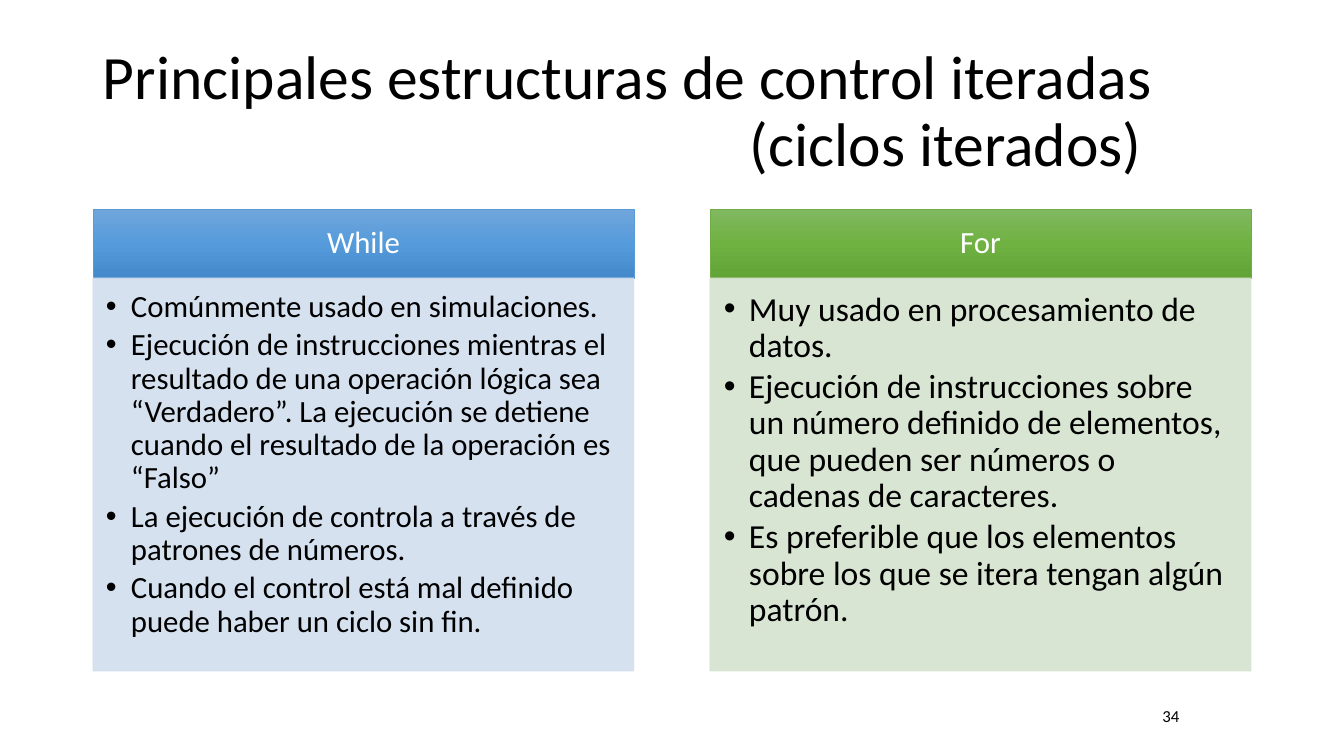
from copy import deepcopy
from lxml.etree import SubElement
from pptx import Presentation
from pptx.dml.color import RGBColor
from pptx.enum.shapes import MSO_SHAPE
from pptx.enum.text import MSO_ANCHOR, MSO_AUTO_SIZE, PP_ALIGN
from pptx.oxml.ns import qn
from pptx.util import Pt

PX = 9144000 / 1008
BLACK = RGBColor(0x00, 0x00, 0x00)
WHITE = RGBColor(0xFF, 0xFF, 0xFF)
BLUE = RGBColor(0x5B, 0x9B, 0xD5)
BLUE_STOPS = [RGBColor(0x71, 0xA6, 0xDB), RGBColor(0x55, 0x9B, 0xDB), RGBColor(0x44, 0x8A, 0xCA)]
BLUE_TINT = RGBColor(0xD2, 0xDE, 0xEF)
GREEN = RGBColor(0x70, 0xAD, 0x47)
GREEN_STOPS = [RGBColor(0x81, 0xB8, 0x61), RGBColor(0x6F, 0xB2, 0x42), RGBColor(0x62, 0xA3, 0x36)]
GREEN_TINT = RGBColor(0xD5, 0xE3, 0xCF)


def px(n):
    return round(n * PX)


def write(tf, lines, size, color, align, margins, anchor, after=0, indent=0):
    frame = dict(zip(["margin_left", "margin_top", "margin_right", "margin_bottom"], map(px, margins)))
    frame.update(word_wrap=True, auto_size=MSO_AUTO_SIZE.NONE, vertical_anchor=anchor)
    for name, value in frame.items():
        setattr(tf, name, value)
    for i, line in enumerate(lines):
        p = tf.paragraphs[0] if i == 0 else tf.add_paragraph()
        for name, value in {"alignment": align, "line_spacing": 0.9,
                            "space_before": Pt(0), "space_after": Pt(after)}.items():
            setattr(p, name, value)
        r = p.add_run()
        r.text = line
        for name, value in {"name": "Calibri", "size": Pt(size)}.items():
            setattr(r.font, name, value)
        r.font.color.rgb = color
        if indent:
            pPr = p._p.get_or_add_pPr()
            pPr.set("marL", str(px(indent)))
            pPr.set("indent", str(-px(indent)))
            SubElement(pPr, qn("a:buFont")).set("typeface", "Arial")
            SubElement(pPr, qn("a:buChar")).set("char", "•")


prs = Presentation()
prs.slide_width, prs.slide_height = px(1344), px(756)
s = prs.slides.add_slide(prs.slide_layouts[5])

title = s.shapes.title
title.left, title.top, title.width, title.height = map(px, (93, 40, 1159, 146))
write(title.text_frame, ["Principales estructuras de control iteradas", "(ciclos iterados)"],
      44, BLACK, PP_ALIGN.LEFT, (10, 5, 10, 5), MSO_ANCHOR.MIDDLE)
title.text_frame.paragraphs[1]._p.get_or_add_pPr().set("marL", str(px(647)))

columns = [
    (93, "While", BLUE, BLUE_STOPS, BLUE_TINT, 22, (13, 13, 17, 19), [
        "Comúnmente usado en simulaciones.",
        "Ejecución de instrucciones mientras el resultado de una operación lógica sea “Verdadero”. "
        "La ejecución se detiene cuando el resultado de la operación es “Falso”",
        "La ejecución de controla a través de patrones de números.",
        "Cuando el control está mal definido puede haber un ciclo sin fin.",
    ]),
    (710, "For", GREEN, GREEN_STOPS, GREEN_TINT, 24, (14, 14, 19, 21), [
        "Muy usado en procesamiento de datos.",
        "Ejecución de instrucciones sobre un número definido de elementos, "
        "que pueden ser números o cadenas de caracteres.",
        "Es preferible que los elementos sobre los que se itera tengan algún patrón.",
    ]),
]

for left, heading, edge, stops, tint, size, margins, points in columns:
    head = s.shapes.add_shape(MSO_SHAPE.RECTANGLE, px(left), px(209), px(541), px(69))
    body = s.shapes.add_shape(MSO_SHAPE.RECTANGLE, px(left), px(278), px(541), px(393))
    for sp, line in ((head, edge), (body, tint)):
        sp.shadow.inherit = False
        sp.line.color.rgb = line
        sp.line.width = Pt(0.5)

    head.fill.gradient()
    head.fill.gradient_angle = 270
    gs_list = head._element.spPr.find(".//" + qn("a:gsLst"))
    gs_list.insert(1, deepcopy(gs_list[0]))
    for stop, color, position in zip(head.fill.gradient_stops, stops, (0, 0.5, 1)):
        stop.color.rgb = color
        stop.position = position

    body.fill.solid()
    body.fill.fore_color.rgb = tint
    for clr in body._element.spPr.iter(qn("a:srgbClr")):
        SubElement(clr, qn("a:alpha")).set("val", "90000")

    write(head.text_frame, [heading], 22, WHITE, PP_ALIGN.CENTER, (17, 10, 17, 10), MSO_ANCHOR.MIDDLE)
    write(body.text_frame, points, size, BLACK, PP_ALIGN.LEFT, margins, MSO_ANCHOR.TOP, 3.6, 25)

number = s.shapes.add_textbox(px(1136), px(690), px(70), px(54))
write(number.text_frame, ["34"], 12, BLACK, PP_ALIGN.CENTER, (10, 5, 10, 5), MSO_ANCHOR.MIDDLE)

prs.save("out.pptx")
